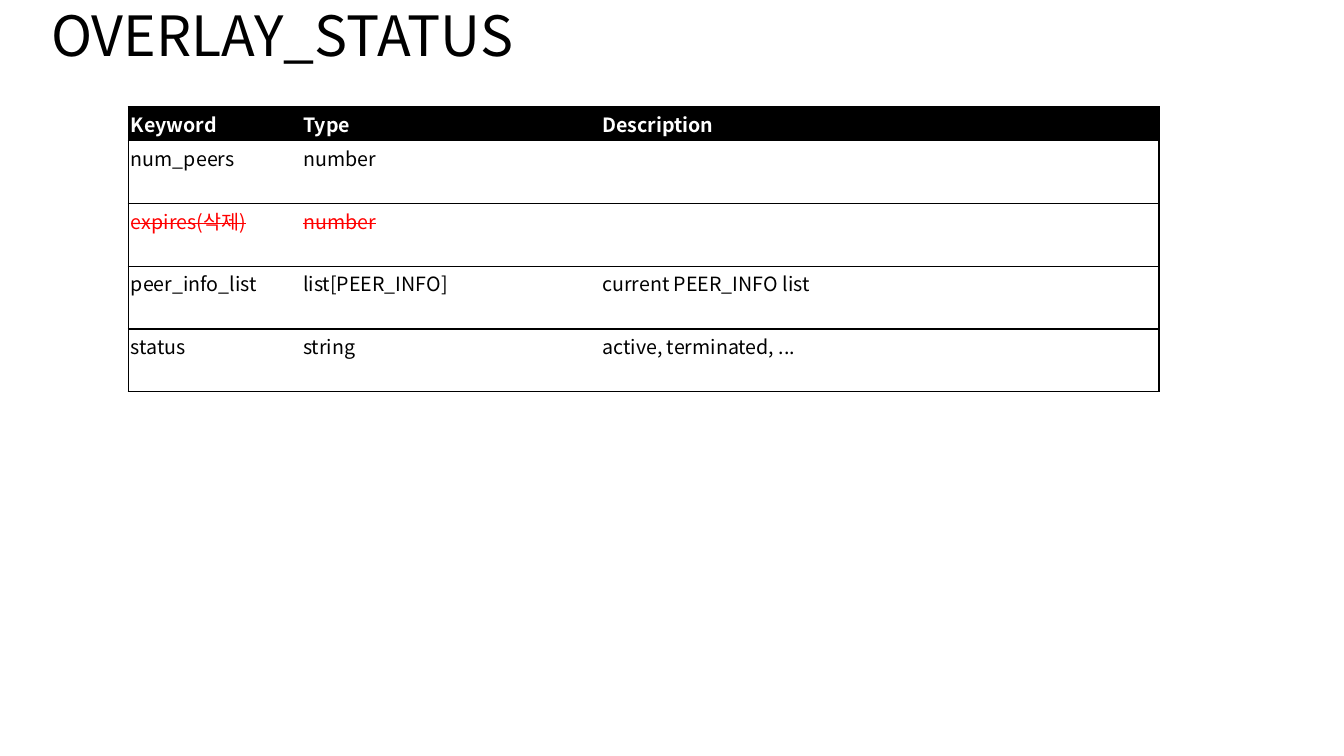
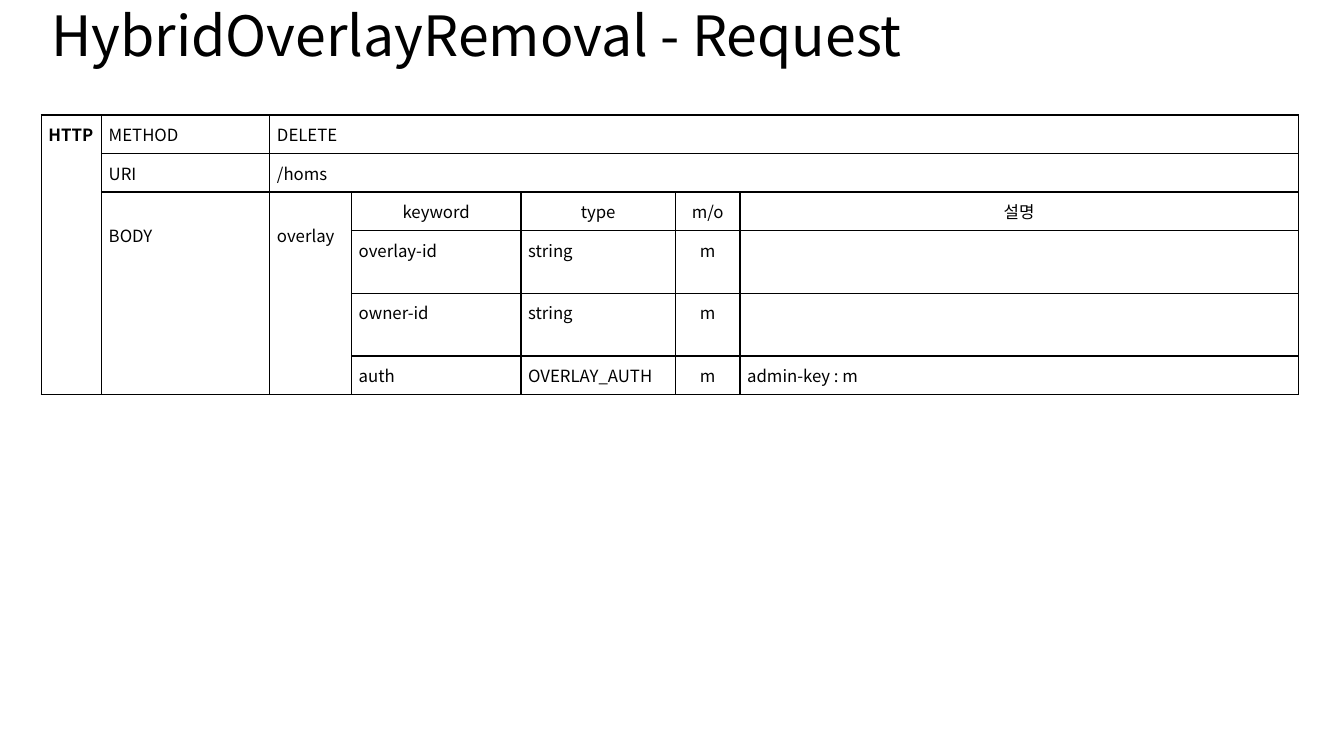
"""Build the overlay status and overlay removal slides."""
from lxml import etree
from pptx import Presentation
from pptx.dml.color import RGBColor
from pptx.enum import text as txt
from pptx.oxml import ns
from pptx.util import Cm, Pt

FONT = "Noto Sans CJK KR"
BLACK = RGBColor(0, 0, 0)
WHITE = RGBColor(255, 255, 255)
RED = RGBColor(255, 0, 0)
PLAIN_TABLE = "{2D5ABB26-0587-4C30-8999-92F81FD0307C}"
SIDES = ("L", "R", "T", "B")

STATUS_ROWS = [
    ("Keyword", "Type", "Description"),
    ("num_peers", "number", ""),
    ("expires(삭제)", "number", ""),
    ("peer_info_list", "list[PEER_INFO]", "current PEER_INFO list"),
    ("status", "string", "active, terminated, ..."),
]
REMOVED_ROW = 2

REQUEST_ROWS = [
    ("HTTP", "METHOD", "DELETE", "", "", "", ""),
    ("", "URI", "/homs", "", "", "", ""),
    ("", "BODY", "overlay", "keyword", "type", "m/o", "설명"),
    ("", "", "", "overlay-id", "string", "m", ""),
    ("", "", "", "owner-id", "string", "m", ""),
    ("", "", "", "auth", "OVERLAY_AUTH", "m", "admin-key : m"),
]
REQUEST_MERGES = [
    ((0, 0), (5, 0)),
    ((0, 2), (0, 6)),
    ((1, 2), (1, 6)),
    ((2, 1), (5, 1)),
    ((2, 2), (5, 2)),
]
KEYWORD_ROW, KEYWORD_COLUMN, OPTION_COLUMN = 2, 3, 5


def format_runs(paragraph, size, color=BLACK, bold=False, struck=False):
    for run in paragraph.runs:
        run.font.name = FONT
        run.font.size = Pt(size)
        run.font.color.rgb = color
        run.font.bold = bold
        properties = run._r.get_or_add_rPr()
        if struck:
            properties.set("strike", "sngStrike")
        east_asian = etree.SubElement(properties, ns.qn("a:ea"))
        east_asian.set("typeface", FONT)


def add_title(slide, title):
    frame = slide.shapes.add_textbox(Cm(1.04), Cm(0.05), Cm(31.67), Cm(1.83)).text_frame
    frame.word_wrap = True
    frame.vertical_anchor = txt.MSO_ANCHOR.MIDDLE
    frame.margin_top = frame.margin_bottom = 0
    frame.text = title
    frame.paragraphs[0].line_spacing = 0.9
    format_runs(frame.paragraphs[0], 39.6)


def draw_borders(cell, sides):
    properties = cell._tc.get_or_add_tcPr()
    for position, side in enumerate(sides):
        line = etree.Element(ns.qn(f"a:ln{side}"), w=str(Pt(1)))
        fill = etree.SubElement(line, ns.qn("a:solidFill"))
        etree.SubElement(fill, ns.qn("a:srgbClr"), val=str(BLACK))
        properties.insert(position, line)


def add_grid(slide, left, top, widths, heights, rows, inset):
    table = slide.shapes.add_table(
        len(rows), len(widths), Cm(left), Cm(top), Cm(sum(widths)), Cm(sum(heights))
    ).table
    table.first_row = table.horz_banding = False
    table._tbl.tblPr.find(ns.qn("a:tableStyleId")).text = PLAIN_TABLE
    for column, width in zip(table.columns, widths):
        column.width = Cm(width)
    for row, height, words in zip(table.rows, heights, rows):
        row.height = Cm(height)
        for cell, word in zip(row.cells, words):
            cell.margin_left = cell.margin_right = Cm(inset)
            cell.margin_top = cell.margin_bottom = Cm(inset)
            cell.fill.solid()
            cell.fill.fore_color.rgb = WHITE
            if word:
                cell.text_frame.text = word
    return table


def add_status_table(slide):
    widths = (4.34, 7.54, 14.1)
    table = add_grid(slide, 3.23, 2.69, widths, [0.86] + [1.58] * 4, STATUS_ROWS, 0.07)
    outer_sides = (("L", "T", "B"), ("T", "B"), ("R", "T", "B"))
    for index, row in enumerate(table.rows):
        header, removed = index == 0, index == REMOVED_ROW
        color = WHITE if header else RED if removed else BLACK
        for cell, sides in zip(row.cells, outer_sides):
            if header:
                cell.fill.fore_color.rgb = BLACK
            format_runs(cell.text_frame.paragraphs[0], 14, color, header, removed)
            draw_borders(cell, sides)


def add_request_table(slide):
    widths = (1.52, 4.24, 2.06, 4.27, 3.89, 1.63, 14.07)
    heights = (0.97, 0.97, 0.97, 1.58, 1.58, 0.97)
    table = add_grid(slide, 1.04, 2.9, widths, heights, REQUEST_ROWS, 0.18)
    for start, end in REQUEST_MERGES:
        table.cell(*start).merge(table.cell(*end))
    for row_index, row in enumerate(table.rows):
        for column_index, cell in enumerate(row.cells):
            paragraph = cell.text_frame.paragraphs[0]
            format_runs(paragraph, 12, bold=column_index == 0)
            heading = row_index == KEYWORD_ROW and column_index >= KEYWORD_COLUMN
            option = row_index > KEYWORD_ROW and column_index == OPTION_COLUMN
            if heading or option:
                paragraph.alignment = txt.PP_ALIGN.CENTER
            draw_borders(cell, SIDES)
    for column_index in (1, 2):
        table.cell(KEYWORD_ROW, column_index).margin_top = Cm(0.79)


def main():
    deck = Presentation()
    deck.slide_width, deck.slide_height = Cm(33.87), Cm(19.05)
    for title, add_content in (
        ("OVERLAY_STATUS", add_status_table),
        ("HybridOverlayRemoval - Request", add_request_table),
    ):
        slide = deck.slides.add_slide(deck.slide_layouts[6])
        add_title(slide, title)
        add_content(slide)
    deck.save("out.pptx")


if __name__ == "__main__":
    main()
